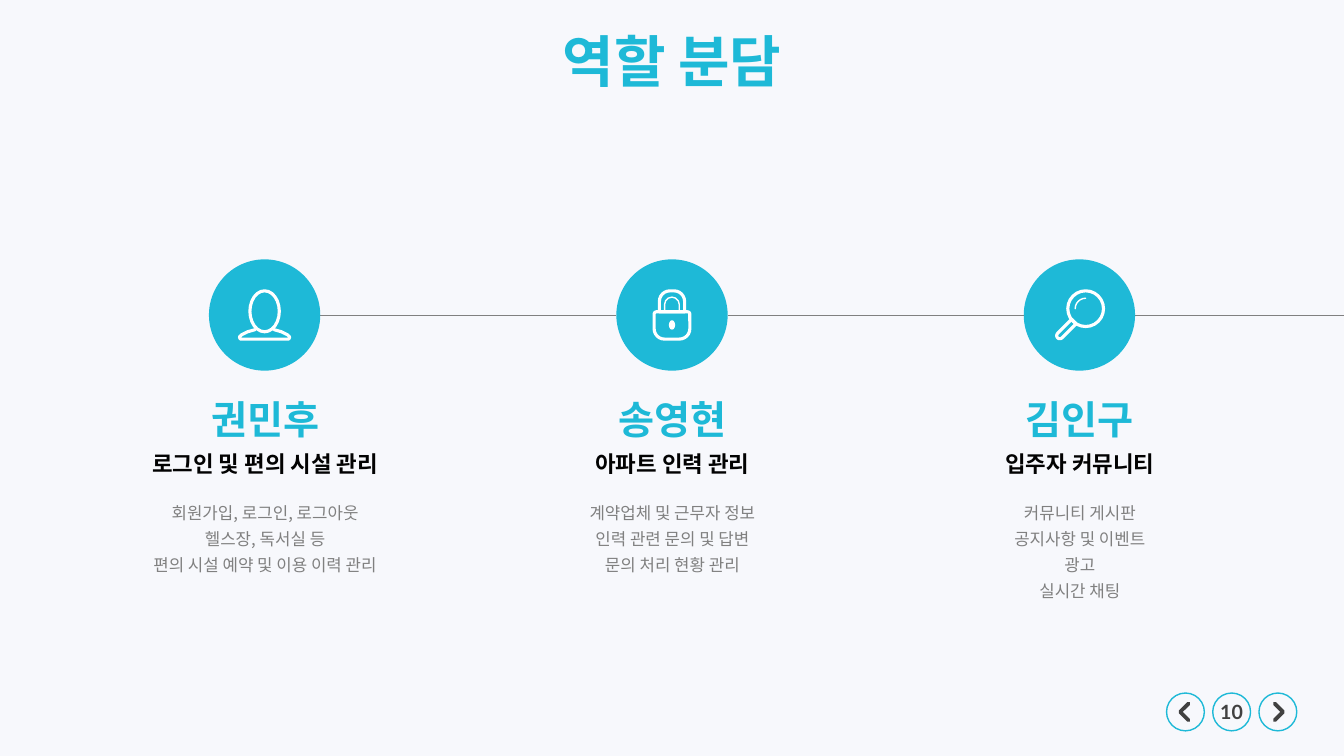
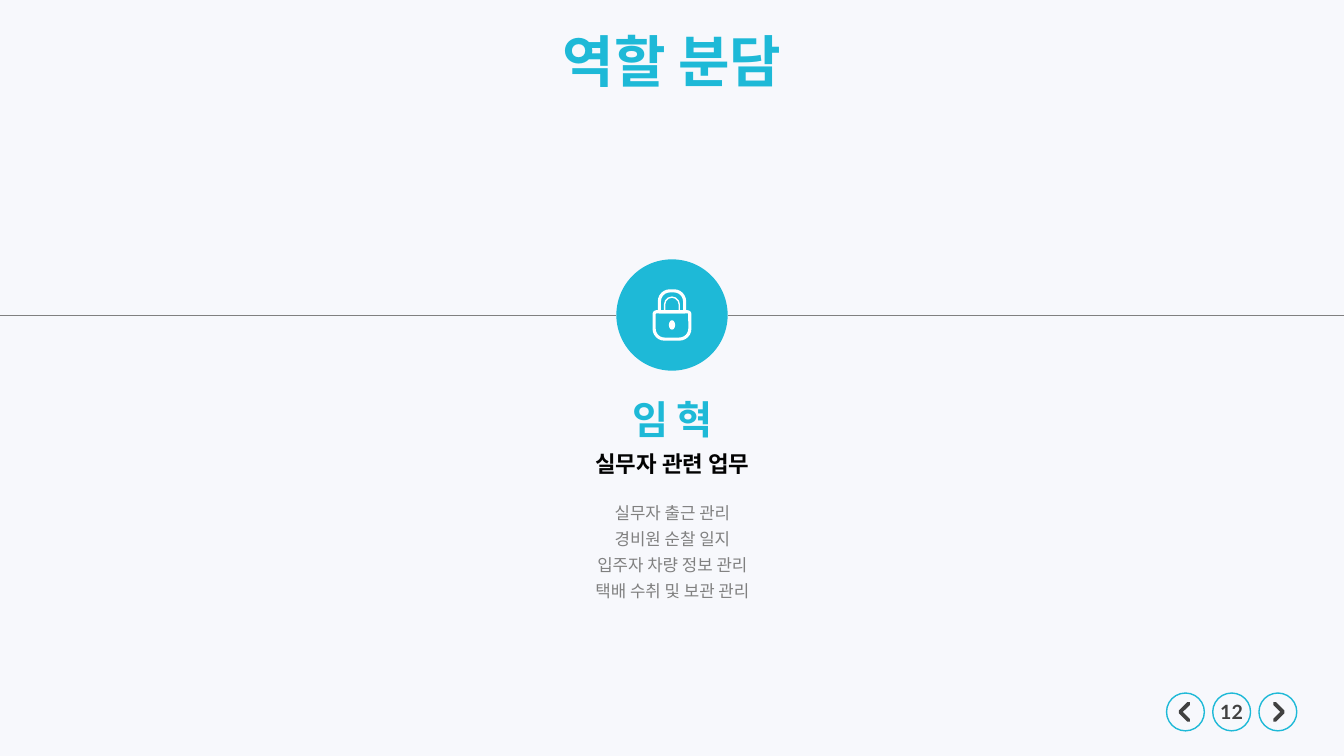
from dataclasses import dataclass

from lxml import etree
from pptx import Presentation
from pptx.dml.color import RGBColor
from pptx.enum.shapes import MSO_CONNECTOR, MSO_SHAPE
from pptx.enum.text import MSO_ANCHOR, MSO_AUTO_SIZE, PP_ALIGN
from pptx.oxml.ns import qn
from pptx.util import Pt

OVAL = MSO_SHAPE.OVAL
ROUND_TOP = MSO_SHAPE.ROUND_2_SAME_RECTANGLE
ARC = MSO_SHAPE.ARC
STRAIGHT = MSO_CONNECTOR.STRAIGHT
TOP, MIDDLE = MSO_ANCHOR.TOP, MSO_ANCHOR.MIDDLE
CENTER = PP_ALIGN.CENTER
NO_AUTOFIT = MSO_AUTO_SIZE.NONE


@dataclass(frozen=True)
class Theme:
    background: RGBColor = RGBColor(0xF7, 0xF8, 0xFC)
    accent: RGBColor = RGBColor(0x1E, 0xB9, 0xD7)
    black: RGBColor = RGBColor(0x02, 0x02, 0x02)
    gray: RGBColor = RGBColor(0x80, 0x80, 0x80)
    dark: RGBColor = RGBColor(0x41, 0x41, 0x41)
    white: RGBColor = RGBColor(0xFF, 0xFF, 0xFF)
    font: str = "Noto Sans CJK KR"
    number_font: str = "Lato"
    title_size: int = 40
    name_size: int = 28
    role_size: int = 16
    number_size: int = 14
    task_size: int = 12
    task_leading: float = 18.7


THEME = Theme()
PX = 9525
WIDTH, HEIGHT = 1280, 720
LINE_Y = 300
RADIUS = 53
COLUMN_CENTER, COLUMN_STEP, COLUMN_WIDTH = 640, 388, 293
TITLE_BOX = (340, 20, 600, 92)
BUTTON_CENTER, BUTTON_STEP, BUTTON_Y, BUTTON_SIZE = 1129, 44, 678, 36

ICONS = {
    "person": [
        (OVAL, (-14, -23, 28, 39), (), 0, 2.25),
    ],
    "lock": [
        (ROUND_TOP, (-17, -3, 34, 26), (0.08, 0.38), 0, 2.25),
        (ROUND_TOP, (-12, -23, 24, 20), (0.5, 0), 0, 2.25),
        (ROUND_TOP, (-7, -17, 14, 14), (0.5, 0), 0, 1),
    ],
    "magnifier": [
        (OVAL, (-11, -23, 34, 34), (), 0, 2.25),
        (ARC, (-4, -16, 20, 20), (), 270, 1),
        (ROUND_TOP, (-16, 3, 6, 22), (0.5, 0), 225, 2.25),
    ],
}
KEYHOLE = (-3, 5, 6, 9)
SHOULDER = [(-9, 14), (-16, 16), (-22, 19), (-24, 21), (-23, 23)]
SHOULDERS = SHOULDER + [(-x, y) for x, y in reversed(SHOULDER)]

SLIDES = [
    {
        "number": "10",
        "line_from_edge": False,
        "members": [
            (-1, "person", "권민후", "로그인 및 편의 시설 관리",
             ["회원가입, 로그인, 로그아웃", "헬스장, 독서실 등", "편의 시설 예약 및 이용 이력 관리"]),
            (0, "lock", "송영현", "아파트 인력 관리",
             ["계약업체 및 근무자 정보", "인력 관련 문의 및 답변", "문의 처리 현황 관리"]),
            (1, "magnifier", "김인구", "입주자 커뮤니티",
             ["커뮤니티 게시판", "공지사항 및 이벤트", "광고", "실시간 채팅"]),
        ],
    },
    {
        "number": "12",
        "line_from_edge": True,
        "members": [
            (0, "lock", "임 혁", "실무자 관련 업무",
             ["실무자 출근 관리", "경비원 순찰 일지", "입주자 차량 정보 관리", "택배 수취 및 보관 관리"]),
        ],
    },
]


def paint(shape, fill=None, line=None, width=1):
    shape.shadow.inherit = False
    if fill is None:
        shape.fill.background()
    else:
        shape.fill.solid()
        shape.fill.fore_color.rgb = fill
    if line is None:
        shape.line.fill.background()
    else:
        shape.line.color.rgb = line
        shape.line.width = Pt(width)
        shape._element.spPr.find(qn("a:ln")).set("cap", "rnd")


def write(shape, box, text, size, color, bold=True, font=THEME.font, anchor=TOP, leading=None):
    shape.left, shape.top, shape.width, shape.height = (PX * length for length in box)
    frame = shape.text_frame
    frame.text = text
    frame.word_wrap = True
    frame.auto_size = NO_AUTOFIT
    frame.vertical_anchor = anchor
    for paragraph in frame.paragraphs:
        paragraph.alignment = CENTER
        paragraph.line_spacing = Pt(leading) if leading else 1.0
        paragraph.space_before = Pt(0)
        for run in paragraph.runs:
            run.font.size = Pt(size)
            run.font.bold = bold
            run.font.color.rgb = color
            run.font.name = font
            east_asian = etree.SubElement(run.font._element, qn("a:ea"))
            east_asian.set("typeface", font)


presentation = Presentation()
presentation.slide_width = PX * WIDTH
presentation.slide_height = PX * HEIGHT
background = presentation.slide_master.background.fill
background.solid()
background.fore_color.rgb = THEME.background
title_only = presentation.slide_layouts[5]

for page in SLIDES:
    slide = presentation.slides.add_slide(title_only)
    shapes = slide.shapes
    write(shapes.title, TITLE_BOX, "역할 분담", THEME.title_size, THEME.accent)

    for index, direction in enumerate((-1, 0, 1)):
        center = BUTTON_CENTER + index * BUTTON_STEP
        box = (center - BUTTON_SIZE // 2, BUTTON_Y - BUTTON_SIZE // 2, BUTTON_SIZE, BUTTON_SIZE)
        button = shapes.add_shape(OVAL, *(PX * length for length in box))
        paint(button, line=THEME.accent)
        if direction:
            back = center - 3 * direction
            builder = shapes.build_freeform(back, BUTTON_Y - 8, scale=PX)
            builder.add_line_segments(
                [(center + 5 * direction, BUTTON_Y), (back, BUTTON_Y + 8)], close=False)
            paint(builder.convert_to_shape(), line=THEME.dark, width=2.75)
        else:
            number = shapes.add_textbox(0, 0, 0, 0)
            write(number, (center - 21, BUTTON_Y - 16, 42, 32), page["number"],
                  THEME.number_size, THEME.dark, font=THEME.number_font, anchor=MIDDLE)

    centers = [COLUMN_CENTER + member[0] * COLUMN_STEP for member in page["members"]]
    starts = [0] + [center + RADIUS for center in centers]
    ends = [center - RADIUS for center in centers] + [WIDTH]
    for start, end in list(zip(starts, ends))[0 if page["line_from_edge"] else 1:]:
        connector = shapes.add_connector(STRAIGHT, PX * start, PX * LINE_Y, PX * end, PX * LINE_Y)
        connector.line.color.rgb = THEME.gray
        connector.line.width = Pt(0.5)
        etree.SubElement(connector._element.spPr, qn("a:effectLst"))

    for center, (_, icon, name, role, tasks) in zip(centers, page["members"]):
        box = (center - RADIUS, LINE_Y - RADIUS, 2 * RADIUS, 2 * RADIUS)
        circle = shapes.add_shape(OVAL, *(PX * length for length in box))
        paint(circle, fill=THEME.accent)

        for preset, (left, top, width, height), adjustments, rotation, stroke in ICONS[icon]:
            box = (center + left, LINE_Y + top, width, height)
            part = shapes.add_shape(preset, *(PX * length for length in box))
            for index, value in enumerate(adjustments):
                part.adjustments[index] = value
            part.rotation = rotation
            paint(part, line=THEME.white, width=stroke)
        if icon == "lock":
            left, top, width, height = KEYHOLE
            box = (center + left, LINE_Y + top, width, height)
            keyhole = shapes.add_shape(OVAL, *(PX * length for length in box))
            paint(keyhole, fill=THEME.white)
        if icon == "person":
            points = [(center + x, LINE_Y + y) for x, y in SHOULDERS]
            builder = shapes.build_freeform(*points[0], scale=PX)
            builder.add_line_segments(points[1:], close=False)
            paint(builder.convert_to_shape(), line=THEME.white, width=2.25)

        left = center - COLUMN_WIDTH // 2
        write(shapes.add_textbox(0, 0, 0, 0), (left, 372, COLUMN_WIDTH, 55), name,
              THEME.name_size, THEME.accent)
        write(shapes.add_textbox(0, 0, 0, 0), (left, 424, COLUMN_WIDTH, 36), role,
              THEME.role_size, THEME.black)
        write(shapes.add_textbox(0, 0, 0, 0), (left, 468, COLUMN_WIDTH, 10 + 25 * len(tasks)),
              "\n".join(tasks), THEME.task_size, THEME.gray, bold=False,
              leading=THEME.task_leading)

presentation.save("out.pptx")
